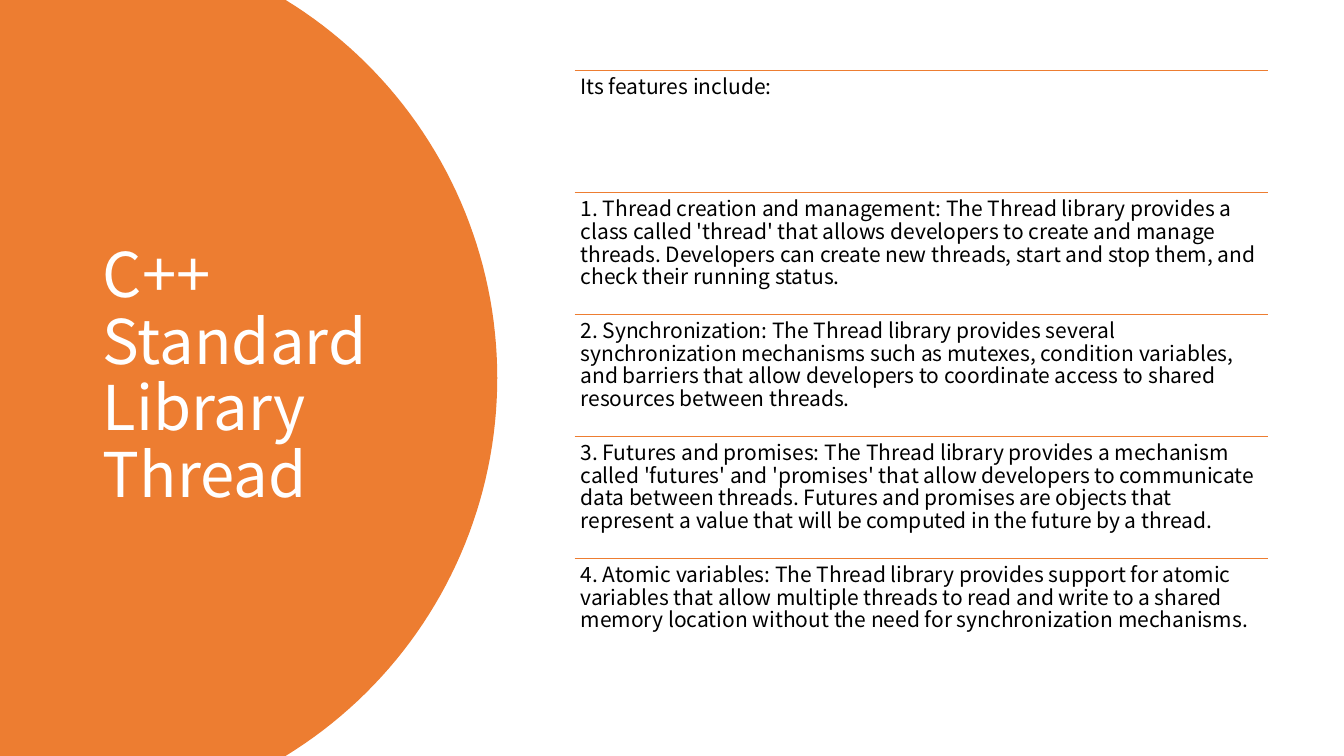
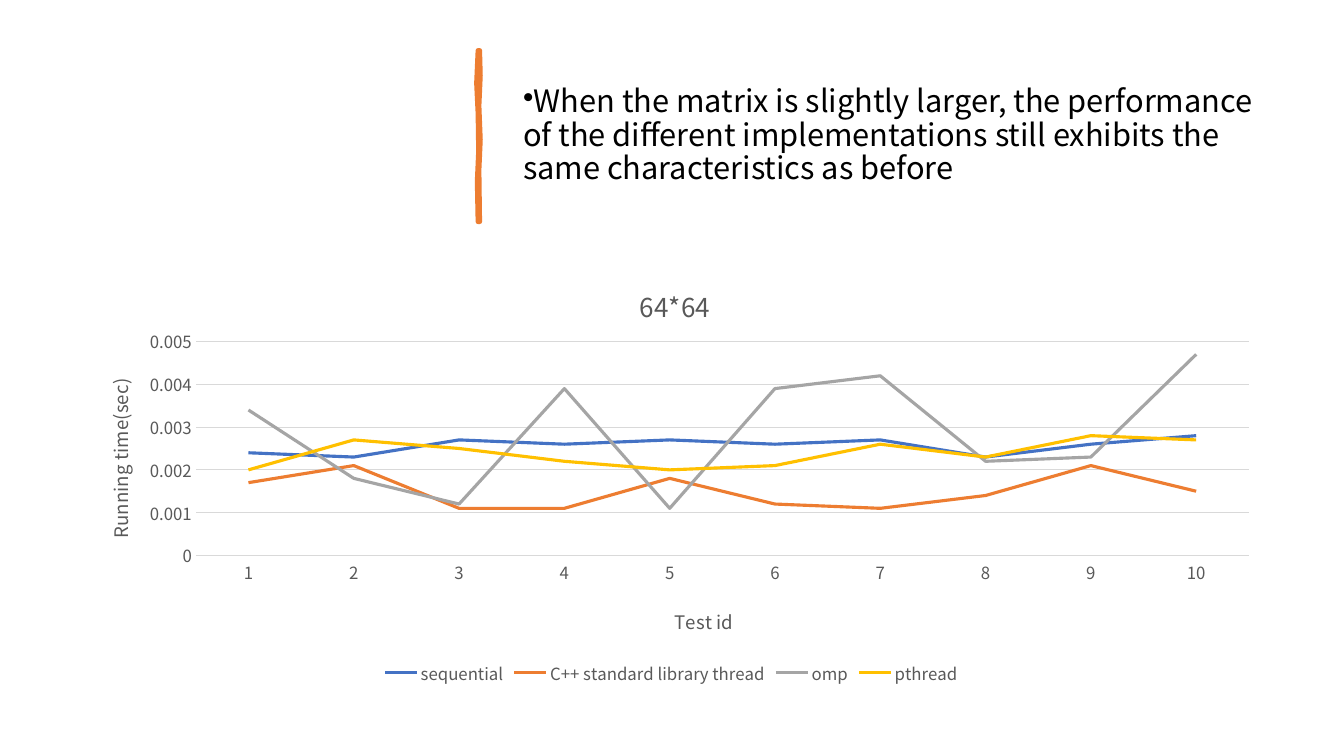
"""Build two slides on C++ threads: a feature list and a timing chart."""
from dataclasses import dataclass
from math import asin, cos, sin

from lxml.etree import SubElement as Sub
from pptx import Presentation
from pptx.chart.data import CategoryChartData as Data
from pptx.dml.color import RGBColor as RGB
from pptx.enum.chart import XL_CHART_TYPE as Kind
from pptx.enum.chart import XL_LEGEND_POSITION as Spot
from pptx.enum.chart import XL_TICK_MARK as Tick
from pptx.enum.shapes import MSO_CONNECTOR as Link
from pptx.enum.text import MSO_ANCHOR as Anchor
from pptx.enum.text import MSO_AUTO_SIZE as Fit
from pptx.enum.text import PP_ALIGN as Align
from pptx.oxml.ns import qn
from pptx.util import Inches, Pt

WIDE, HIGH = Inches(13.33), Inches(7.5)
FONT = "Noto Sans CJK SC"
ORANGE, BLACK, WHITE = "ED7D31", "000000", "FFFFFF"
GREY, PALE = "595959", "D9D9D9"


@dataclass(frozen=True)
class Box:
    """A frame in percent of the slide."""
    left: float
    top: float
    width: float
    height: float

    def emu(self) -> tuple:
        return (across(self.left), down(self.top),
                across(self.width), down(self.height))


@dataclass(frozen=True)
class Line:
    """One series of the chart."""
    name: str
    color: str
    vals: tuple


TITLE = Box(6.9, 9.33, 24.22, 81.2)
ROW = Box(42.75, 9.33, 51.6, 16.13)
NOTE = Box(38.18, 7.33, 56.55, 21.33)
CHART = Box(5.17, 33.47, 89.55, 57.73)

ITEMS = (
    "Its features include:",
    "1. Thread creation and management: The Thread library provides a class "
    "called 'thread' that allows developers to create and manage threads. "
    "Developers can create new threads, start and stop them, and check their "
    "running status.",
    "2. Synchronization: The Thread library provides several synchronization "
    "mechanisms such as mutexes, condition variables, and barriers that allow "
    "developers to coordinate access to shared resources between threads.",
    "3. Futures and promises: The Thread library provides a mechanism called "
    "'futures' and 'promises' that allow developers to communicate data "
    "between threads. Futures and promises are objects that represent a value "
    "that will be computed in the future by a thread.",
    "4. Atomic variables: The Thread library provides support for atomic "
    "variables that allow multiple threads to read and write to a shared "
    "memory location without the need for synchronization mechanisms.",
)
CLAIM = ("When the matrix is slightly larger, the performance of the different "
         "implementations still exhibits the same characteristics as before")
LINES = (
    Line("sequential", "4472C4",
         (.0024, .0023, .0027, .0026, .0027, .0026, .0027, .0023, .0026, .0028)),
    Line("C++ standard library thread", ORANGE,
         (.0017, .0021, .0011, .0011, .0018, .0012, .0011, .0014, .0021, .0015)),
    Line("omp", "A5A5A5",
         (.0034, .0018, .0012, .0039, .0011, .0039, .0042, .0022, .0023, .0047)),
    Line("pthread", "FFC000",
         (.002, .0027, .0025, .0022, .002, .0021, .0026, .0023, .0028, .0027)),
)
STROKE = ((35.7, 6.67), (35.75, 10), (35.65, 14), (35.75, 18.5), (35.65, 22.5),
          (35.7, 29.33), (35.56, 29.33), (35.5, 24), (35.6, 20), (35.56, 15),
          (35.45, 11), (35.56, 6.67))


def across(part: float) -> int:
    return round(WIDE * part / 100)


def down(part: float) -> int:
    return round(HIGH * part / 100)


def ink(code: str) -> RGB:
    return RGB.from_string(code)


def style(font, size: float, code: str) -> None:
    font.name, font.size, font.bold = FONT, Pt(size), False
    font.color.rgb = ink(code)


def write(shape, text: str, size: float, code: str, anchor=Anchor.TOP):
    """Fill a text shape and return its paragraph."""
    frame = shape.text_frame
    frame.text = text
    frame.word_wrap, frame.auto_size = True, Fit.NONE
    frame.vertical_anchor = anchor
    para = frame.paragraphs[0]
    para.alignment, para.line_spacing = Align.LEFT, 0.9
    style(para.runs[0].font, size, code)
    return para


def outline(slide, dots):
    """Draw a closed orange shape through points in EMU."""
    pen = slide.shapes.build_freeform(*dots[0], scale=1.0)
    pen.add_line_segments(dots[1:], close=True)
    shape = pen.convert_to_shape()
    shape.shadow.inherit = False
    shape.fill.solid()
    shape.fill.fore_color.rgb = ink(ORANGE)
    return shape


def rule(slide, left: int, top: int, width: int) -> None:
    line = slide.shapes.add_connector(Link.STRAIGHT, left, top, left + width, top)
    line.line.color.rgb, line.line.width = ink(ORANGE), Pt(1)
    Sub(line.element.spPr, qn("a:effectLst"))


def disc(slide):
    """Draw the round orange panel that bleeds off the left edge."""
    mid, ray, half, steps = across(4), across(33), HIGH / 2, 80
    turn = asin(half / ray)
    arc = [turn * (2 * i / steps - 1) for i in range(steps + 1)]
    curve = [(round(mid + ray * cos(a)), round(half + ray * sin(a))) for a in arc]
    shape = outline(slide, [(0, 0), *curve, (0, HIGH)])
    shape.line.fill.background()
    return shape


def list_slide(deck) -> None:
    slide = deck.slides.add_slide(deck.slide_layouts[5])
    title = slide.shapes.title
    title.left, title.top, title.width, title.height = TITLE.emu()
    write(title, "C++ Standard Library Thread", 44, WHITE, Anchor.MIDDLE)
    title.element.addprevious(disc(slide).element)
    left, top, width, height = ROW.emu()
    for i, item in enumerate(ITEMS):
        y = top + i * height
        rule(slide, left, y, width)
        box = slide.shapes.add_textbox(left, y, width, height)
        write(box, item, 15, BLACK)
        frame = box.text_frame
        frame.margin_left = frame.margin_right = Inches(0.06)
        frame.margin_top = frame.margin_bottom = Inches(0.06)


def place(node, **parts: float) -> None:
    """Pin a chart part at shares of the chart's size."""
    old = node.find(qn("c:layout"))
    if old is not None:
        node.remove(old)
    lay = Sub(node, qn("c:layout"))
    text = node.find(qn("c:tx"))
    node.insert(0 if text is None else 1, lay)
    man = Sub(lay, qn("c:manualLayout"))
    if "w" in parts:
        Sub(man, qn("c:layoutTarget"), val="inner")
    for key in ("x", "y"):
        Sub(man, qn(f"c:{key}Mode"), val="edge")
    for key, val in parts.items():
        Sub(man, qn(f"c:{key}"), val=str(val))


def name(owner, text: str, size: float) -> None:
    frame = owner.text_frame
    frame.text = text
    style(frame.paragraphs[0].runs[0].font, size, GREY)


def plot(slide) -> None:
    data = Data()
    data.categories = [str(i) for i in range(1, 11)]
    for line in LINES:
        data.add_series(line.name, line.vals)
    chart = slide.shapes.add_chart(Kind.LINE, *CHART.emu(), data).chart
    style(chart.font, 12, GREY)
    chart.has_title = True
    name(chart.chart_title, "64*64", 18.6)
    chart.has_legend = True
    chart.legend.position = Spot.BOTTOM
    chart.legend.include_in_layout = False
    style(chart.legend.font, 12, GREY)
    cat, val = chart.category_axis, chart.value_axis
    for axis, text in ((cat, "Test id"), (val, "Running time(sec)")):
        name(axis.axis_title, text, 13.3)
        axis.major_tick_mark = axis.minor_tick_mark = Tick.NONE
        style(axis.tick_labels.font, 12, GREY)
    val.minimum_scale, val.maximum_scale, val.major_unit = 0, 0.005, 0.001
    val.tick_labels.number_format = "General"
    val.tick_labels.number_format_is_linked = False
    val.format.line.fill.background()
    val.has_major_gridlines = True
    for edge in (cat.format.line, val.major_gridlines.format.line):
        edge.color.rgb, edge.width = ink(PALE), Pt(0.75)
    chart.plots[0].vary_by_categories = False
    for line, ser in zip(LINES, chart.plots[0].series):
        ser.smooth = False
        pen = ser.format.line
        pen.color.rgb, pen.width = ink(line.color), Pt(2.25)
    root = chart.element
    place(root.find(".//" + qn("c:plotArea")), x=0.105, y=0.203, w=0.875, h=0.49)
    heads = list(root.iter(qn("c:title")))
    for node, x, y in zip(heads, (0.47, 0.5, 0.026), (0.06, 0.8, 0.28)):
        place(node, x=x, y=y)
    body = next(heads[-1].iter(qn("a:bodyPr")))
    body.set("rot", "-5400000")
    body.set("vert", "horz")


def chart_slide(deck) -> None:
    slide = deck.slides.add_slide(deck.slide_layouts[6])
    bar = outline(slide, [(across(x), down(y)) for x, y in STROKE])
    bar.line.color.rgb, bar.line.width = ink(ORANGE), Pt(3.25)
    Sub(bar.element.spPr.find(qn("a:ln")), qn("a:round"))
    box = slide.shapes.add_textbox(*NOTE.emu())
    para = write(box, CLAIM, 22, BLACK, Anchor.MIDDLE)
    para.space_after = Pt(6)
    props = para.runs[0].font and para._p.get_or_add_pPr()
    props.set("marL", "0")
    props.set("indent", str(-Inches(0.25)))
    Sub(props, qn("a:buChar"), char="•")
    plot(slide)


def main() -> None:
    deck = Presentation()
    deck.slide_width, deck.slide_height = WIDE, HIGH
    list_slide(deck)
    chart_slide(deck)
    deck.save("out.pptx")


if __name__ == "__main__":
    main()
